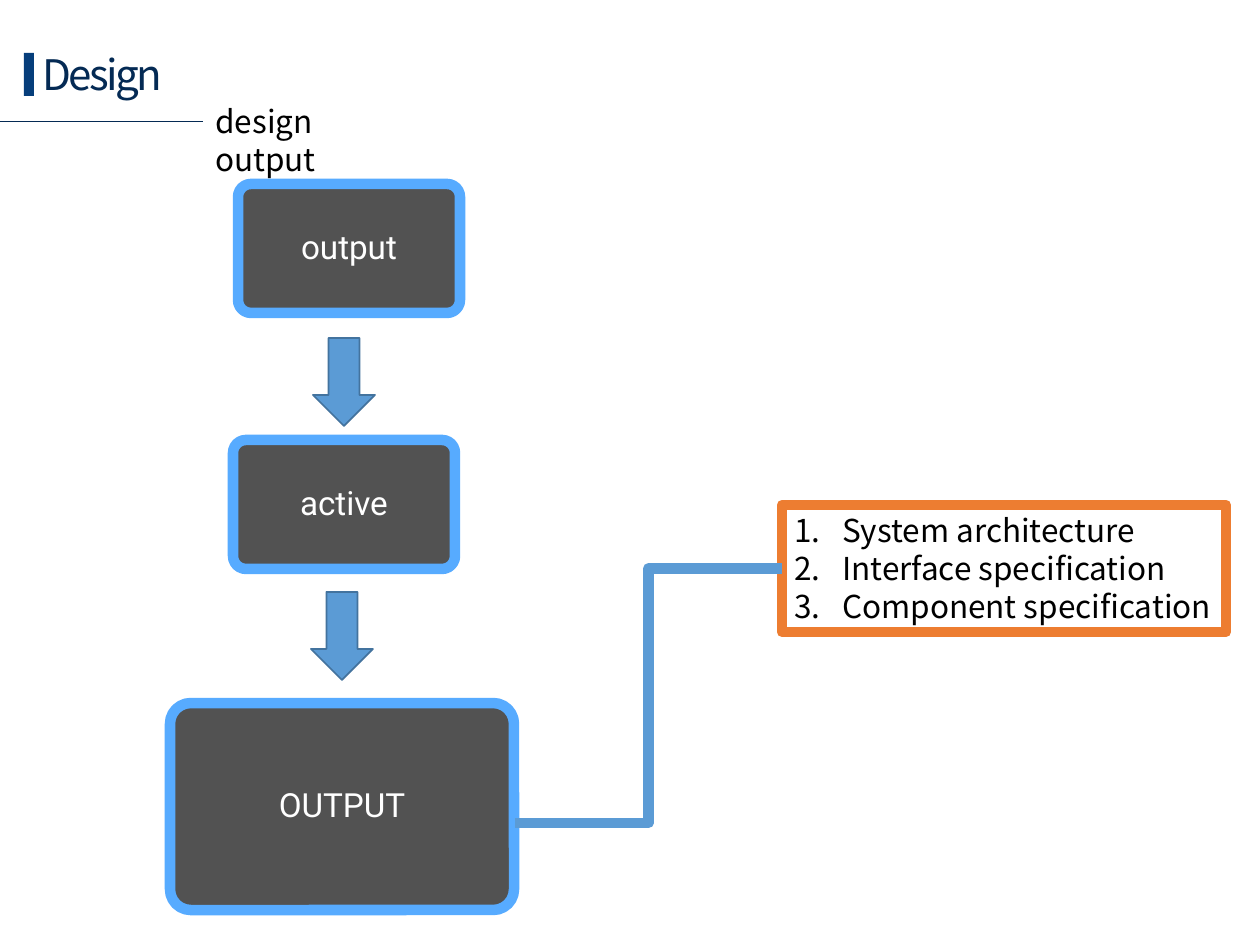
from dataclasses import dataclass

from lxml import etree
from pptx import Presentation
from pptx import util as u
from pptx.dml.color import RGBColor
from pptx.enum import shapes, text
from pptx.oxml.ns import qn

PX_PER_INCH = 126


@dataclass(frozen=True)
class Theme:
    heading_font: str = "Noto Sans CJK KR"
    card_font: str = "Roboto"
    navy: str = "042A54"
    marker: str = "063E7B"
    black: str = "000000"
    white: str = "FFFFFF"
    card: str = "525252"
    card_edge: str = "57ABFF"
    arrow: str = "5B9BD5"
    arrow_edge: str = "43739E"
    list_edge: str = "ED7D31"
    title_size: int = 24
    body_size: int = 18
    card_size: int = 19
    thick: int = 6


THEME = Theme()


def px(length):
    return u.Emu(round(length * 914400 / PX_PER_INCH))


def box(*lengths):
    return [px(length) for length in lengths]


def write(shape, lines, *, size, color, font=THEME.heading_font, wrap=True,
          align=text.PP_ALIGN.LEFT, anchor=text.MSO_ANCHOR.TOP,
          line_spacing=None, tracking=None, numbered=False):
    frame = shape.text_frame
    frame.word_wrap = wrap
    frame.vertical_anchor = anchor
    if not wrap:
        frame.auto_size = text.MSO_AUTO_SIZE.SHAPE_TO_FIT_TEXT
    for index, line in enumerate(lines):
        paragraph = frame.paragraphs[0] if index == 0 else frame.add_paragraph()
        paragraph.alignment = align
        if line_spacing:
            paragraph.line_spacing = line_spacing
        if numbered:
            number_paragraph(paragraph)
        run = paragraph.add_run()
        run.text = line
        run.font.name = font
        run.font.size = u.Pt(size)
        run.font.color.rgb = RGBColor.from_string(color)
        if tracking:
            run.font._element.set("spc", str(round(tracking * 100)))


def number_paragraph(paragraph):
    properties = paragraph._p.get_or_add_pPr()
    indent = u.Inches(0.38)
    properties.set("marL", str(indent))
    properties.set("indent", str(-indent))
    etree.SubElement(properties, qn("a:buFont")).set("typeface", "+mj-lt")
    etree.SubElement(properties, qn("a:buAutoNum")).set("type", "arabicPeriod")


def add_block(parent, kind, bounds, fill, edge=None, edge_width=1):
    block = parent.add_shape(kind, *box(*bounds))
    block.shadow.inherit = False
    block.fill.solid()
    block.fill.fore_color.rgb = RGBColor.from_string(fill)
    if edge:
        block.line.color.rgb = RGBColor.from_string(edge)
        block.line.width = u.Pt(edge_width)
    else:
        block.line.fill.background()
    return block


def add_line(parent, kind, start, end, color, width):
    line = parent.add_connector(kind, *box(*start, *end))
    line.line.color.rgb = RGBColor.from_string(color)
    line.line.width = u.Pt(width)
    etree.SubElement(line._element.spPr, qn("a:effectLst"))
    return line


def add_heading(parent):
    heading = parent.add_group_shape().shapes
    title = heading.add_textbox(*box(30, 42, 150, 63))
    write(title, ["Design"], size=THEME.title_size, color=THEME.navy,
          wrap=False, tracking=-1.5)
    add_block(heading, shapes.MSO_SHAPE.RECTANGLE, (24, 53, 10, 43), THEME.marker)


def add_card(parent, label, bounds):
    card = add_block(parent, shapes.MSO_SHAPE.ROUNDED_RECTANGLE, bounds,
                     THEME.card, THEME.card_edge, THEME.thick)
    card.adjustments[0] = 0.1
    write(card, [label], size=THEME.card_size, color=THEME.white,
          font=THEME.card_font, align=text.PP_ALIGN.CENTER,
          anchor=text.MSO_ANCHOR.MIDDLE, line_spacing=0.9)


def add_down_arrow(parent, left, top):
    add_block(parent, shapes.MSO_SHAPE.DOWN_ARROW, (left, top, 62, 88),
              THEME.arrow, THEME.arrow_edge)


def add_specification_list(parent, items):
    spec_list = add_block(parent, shapes.MSO_SHAPE.RECTANGLE, (782, 505, 444, 127),
                          THEME.white, THEME.list_edge, THEME.thick)
    write(spec_list, items, size=THEME.body_size, color=THEME.black, numbered=True)
    return spec_list


def main():
    deck = Presentation()
    deck.slide_width, deck.slide_height = u.Inches(10), u.Inches(7.5)
    canvas = deck.slides.add_slide(deck.slide_layouts[6]).shapes

    add_heading(canvas)
    caption = canvas.add_textbox(*box(203, 96, 227, 50))
    write(caption, ["design output"], size=THEME.body_size, color=THEME.black)
    add_line(canvas, shapes.MSO_CONNECTOR.STRAIGHT, (0, 121), (203, 121),
             THEME.navy, 0.5)

    for label, bounds in (("OUTPUT", (170, 703, 344, 207)),
                          ("active", (233, 440, 222, 129)),
                          ("output", (238, 184, 222, 129))):
        add_card(canvas, label, bounds)
    for left, top in ((313, 338), (311, 592)):
        add_down_arrow(canvas, left, top)

    spec_list = add_specification_list(
        canvas,
        ["System architecture", "Interface specification", "Component specification"])
    link = add_line(canvas, shapes.MSO_CONNECTOR.ELBOW, (782, 569), (515, 823),
                    THEME.arrow, THEME.thick)
    link.begin_connect(spec_list, 1)

    deck.save("out.pptx")


if __name__ == "__main__":
    main()
